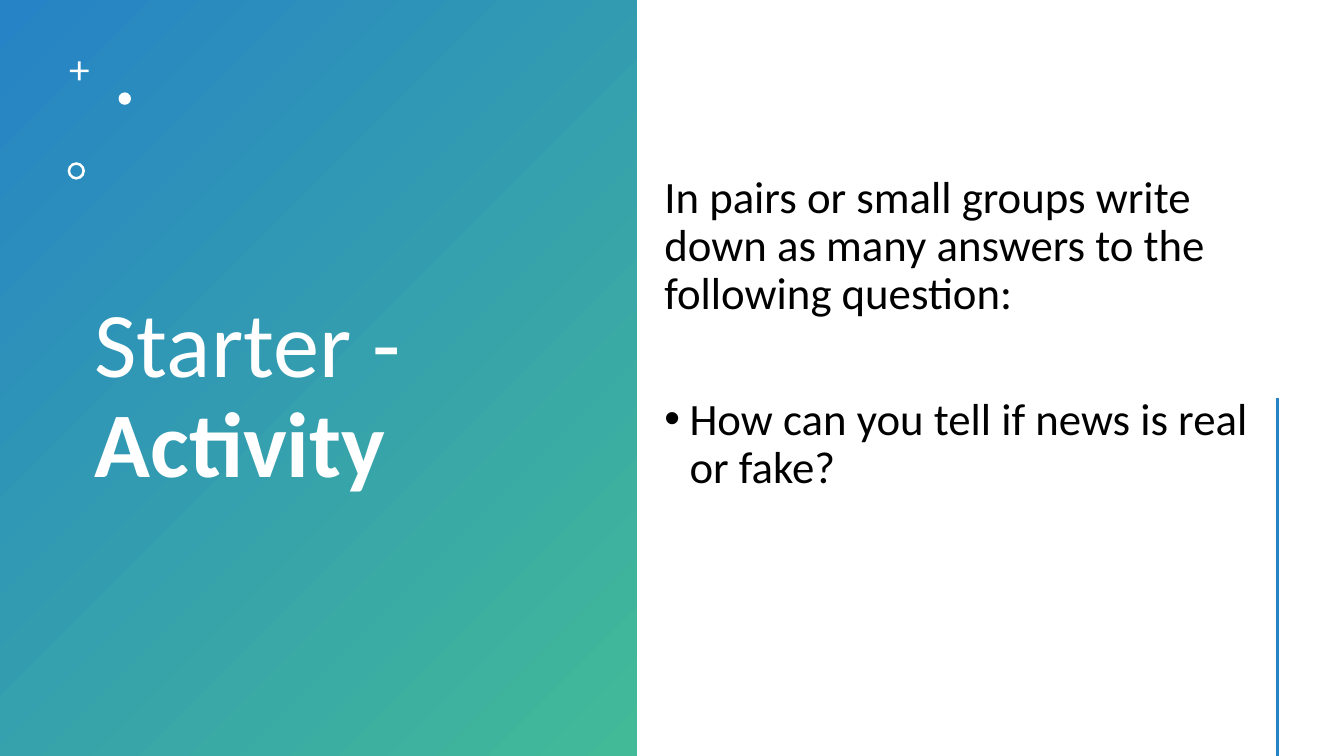
from pptx import Presentation
from pptx.dml.color import RGBColor
from pptx.enum.shapes import MSO_CONNECTOR, MSO_SHAPE
from pptx.enum.text import MSO_ANCHOR
from pptx.oxml.ns import qn
from pptx.util import Pt
from lxml.etree import SubElement

THEME = {
    "blue": RGBColor(0x26, 0x83, 0xC6),
    "green": RGBColor(0x42, 0xBA, 0x97),
    "white": RGBColor(255, 255, 255),
    "black": RGBColor(0, 0, 0),
    "font": "Calibri",
    "title": Pt(66),
    "body": Pt(32),
}


def add_form(kind, *box):
    form = slide.shapes.add_shape(kind, *map(Pt, box))
    form.shadow.inherit = False
    form.line.fill.background()
    return form


def add_text(box, anchor, size, color, paras):
    frame = slide.shapes.add_textbox(*map(Pt, box)).text_frame
    frame.word_wrap = True
    frame.vertical_anchor = anchor
    for i, (runs, gap, bullet) in enumerate(paras):
        para = frame.add_paragraph() if i else frame.paragraphs[0]
        para.line_spacing = 0.9
        para.space_before = Pt(gap)
        if bullet:
            props = para._p.get_or_add_pPr()
            props.set("marL", str(Pt(18)))
            props.set("indent", str(Pt(-18)))
            SubElement(props, qn("a:buFont")).set("typeface", "Arial")
            SubElement(props, qn("a:buChar")).set("char", "•")
        for text, bold in runs:
            run = para.add_run()
            run.text = text
            run.font.color.rgb = color
            style = {"name": THEME["font"], "size": size, "bold": bold}
            for key, value in style.items():
                setattr(run.font, key, value)


deck = Presentation()
deck.slide_width, deck.slide_height = Pt(960), Pt(540)
slide = deck.slides.add_slide(deck.slide_layouts[6])

# Gradient panel
panel = add_form(MSO_SHAPE.RECTANGLE, 0, 0, 455, 540)
panel.fill.gradient()
panel.fill.gradient_angle = 315
for stop, name in zip(panel.fill.gradient_stops, ("blue", "green")):
    stop.color.rgb = THEME[name]
    stop.position = 0 if name == "blue" else 1

# Title
add_text((60.5, 49, 348.5, 470), MSO_ANCHOR.MIDDLE, THEME["title"],
         THEME["white"], [([("Starter - ", False), ("Activity", True)], 0, False)])

# Small white marks: plus, dot and ring
marks = [
    (MSO_SHAPE.CROSS, 49.9, 43.9, 13.5, 0.43),
    (MSO_SHAPE.OVAL, 84.7, 66, 8.9, None),
    (MSO_SHAPE.DONUT, 48.3, 115.9, 12.4, 0.15),
]
for kind, left, top, side, ratio in marks:
    mark = add_form(kind, left, top, side, side)
    mark.fill.solid()
    mark.fill.fore_color.rgb = THEME["white"]
    if ratio:
        mark.adjustments[0] = ratio

# Accent line
rule = slide.shapes.add_connector(
    MSO_CONNECTOR.STRAIGHT, Pt(912.5), Pt(284), Pt(912.5), Pt(540))
rule.line.color.rgb = THEME["blue"]
rule.line.width = Pt(2)
SubElement(rule._element.spPr, qn("a:effectLst"))

# Task and question
task = ("In pairs or small groups write down as many answers to the "
        "following question:")
query = "How can you tell if news is real or fake?"
add_text((467.5, 121, 432, 348), MSO_ANCHOR.TOP, THEME["body"], THEME["black"],
         [([(task, False)], 0, False), ([(query, False)], 55, True)])

deck.save("out.pptx")
